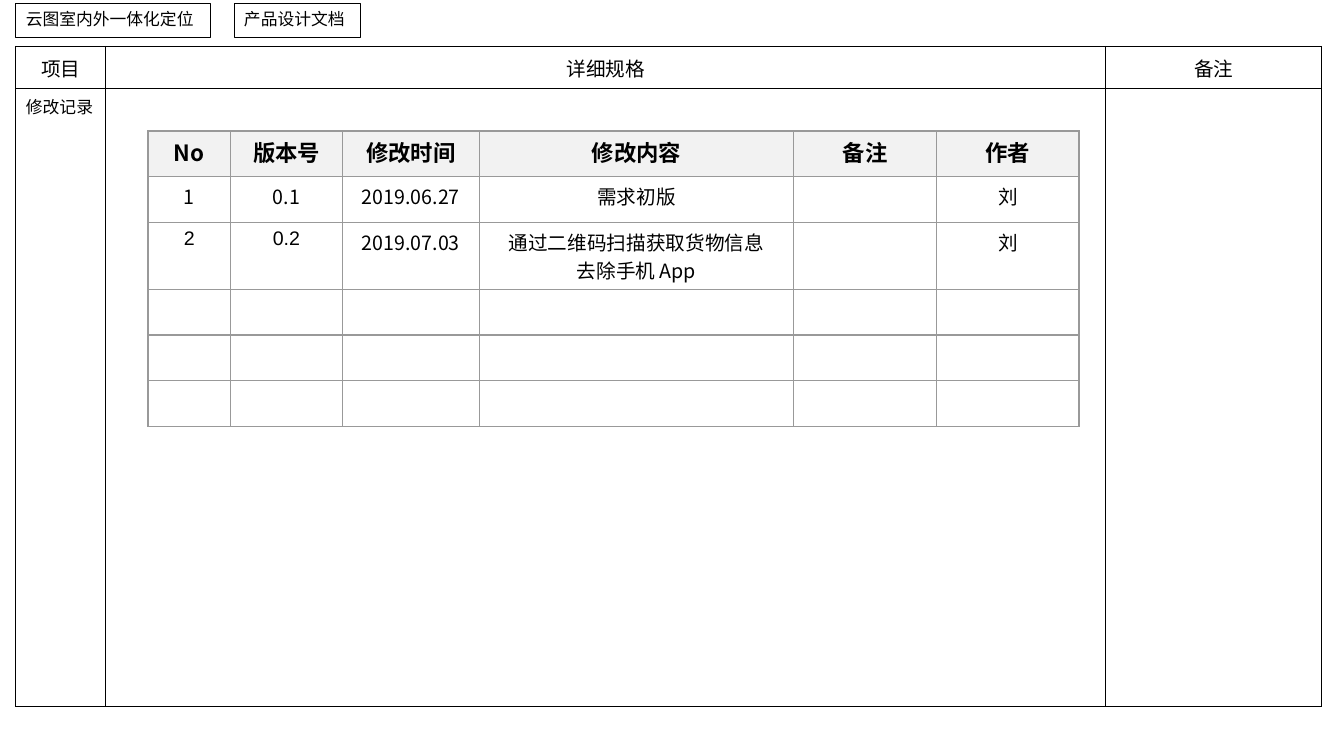
from lxml import etree
from pptx import Presentation
from pptx.dml.color import RGBColor
from pptx.enum.shapes import MSO_SHAPE
from pptx.enum.text import MSO_ANCHOR, PP_ALIGN
from pptx.oxml.ns import qn
from pptx.util import Cm, Pt

RECTANGLE = MSO_SHAPE.RECTANGLE
TOP, MIDDLE = MSO_ANCHOR.TOP, MSO_ANCHOR.MIDDLE
LEFT, CENTER = PP_ALIGN.LEFT, PP_ALIGN.CENTER

COLORS = {"text": "000000", "frame": "000000", "grid": "999999",
          "header": "F2F2F2", "paper": "FFFFFF"}
SANS, LATIN = "Noto Sans CJK SC", "Arial"

REVISIONS = [
    ["No", "版本号", "修改时间", "修改内容", "备注", "作者"],
    ["1", "0.1", "2019.06.27", "需求初版", "", "刘"],
    ["2", "0.2", "2019.07.03", "通过二维码扫描获取货物信息\n去除手机 App", "", "刘"],
] + [[""] * 6] * 3


def color(name):
    return RGBColor.from_string(COLORS[name])


def write(frame, text, size=14, font=SANS, bold=False, align=CENTER):
    """Put each line of the text in its own paragraph."""
    for number, line in enumerate(text.split("\n")):
        paragraph = frame.add_paragraph() if number else frame.paragraphs[0]
        paragraph.alignment = align
        if not line:
            continue
        run = paragraph.add_run()
        run.text = line
        run.font.size, run.font.bold, run.font.name = Pt(size), bold, font
        run.font.color.rgb = color("text")
        east_asian = etree.SubElement(run.font._element, qn("a:ea"))
        east_asian.set("typeface", SANS)


def add_label(slide, text, left, width):
    label = slide.shapes.add_shape(RECTANGLE, Cm(left), Cm(0.1), Cm(width), Cm(0.85))
    label.shadow.inherit = False
    label.fill.background()
    label.line.color.rgb = color("frame")
    label.line.width = Pt(0.75)
    label.text_frame.word_wrap = True
    label.text_frame.vertical_anchor = TOP
    write(label.text_frame, text, size=12, font=LATIN, align=LEFT)


def set_borders(cell, line_color, width):
    properties = cell._tc.get_or_add_tcPr()
    for position, side in enumerate(("a:lnL", "a:lnR", "a:lnT", "a:lnB")):
        border = etree.Element(qn(side), w=str(Pt(width)))
        fill = etree.SubElement(border, qn("a:solidFill"))
        etree.SubElement(fill, qn("a:srgbClr"), val=COLORS[line_color])
        properties.insert(position, border)


def add_grid(slide, left, top, widths, heights, line_color, line_width, header_fill):
    """Add a table without text and return it."""
    table = slide.shapes.add_table(
        len(heights), len(widths), Cm(left), Cm(top),
        Cm(sum(widths)), Cm(sum(heights))).table
    table.horz_banding = False
    for column, width in zip(table.columns, widths):
        column.width = Cm(width)
    for number, (row, height) in enumerate(zip(table.rows, heights)):
        row.height = Cm(height)
        for cell in row.cells:
            cell.fill.solid()
            cell.fill.fore_color.rgb = color("paper" if number else header_fill)
            set_borders(cell, line_color, line_width)
    return table


def add_page_frame(slide):
    page = add_grid(slide, 0.4, 1.17, [2.27, 25.2, 5.44], [1.07, 15.55],
                    "frame", 0.75, "paper")
    for column, heading in enumerate(["项目", "详细规格", "备注"]):
        cell = page.cell(0, column)
        cell.vertical_anchor = MIDDLE
        write(cell.text_frame, heading, font=LATIN)
    write(page.cell(1, 0).text_frame, "修改记录", size=12, align=LEFT)


def add_revision_log(slide):
    log = add_grid(slide, 3.73, 3.3, [2.08, 2.82, 3.45, 7.92, 3.61, 3.58],
                   [1.15] * len(REVISIONS), "grid", 1, "header")
    for row, entry in enumerate(REVISIONS):
        for column, text in enumerate(entry):
            heading = row == 0
            font = LATIN if row == 2 and column < 2 else SANS
            write(log.cell(row, column).text_frame, text,
                  size=16 if heading else 14, font=font, bold=heading)


def main():
    presentation = Presentation()
    presentation.slide_width, presentation.slide_height = Cm(33.87), Cm(19.05)
    slide = presentation.slides.add_slide(presentation.slide_layouts[6])

    # Page frame and document labels
    add_page_frame(slide)
    add_label(slide, "云图室内外一体化定位", 0.4, 4.9)
    add_label(slide, "产品设计文档", 5.9, 3.18)

    # Revision history
    add_revision_log(slide)

    presentation.save("out.pptx")


if __name__ == "__main__":
    main()
